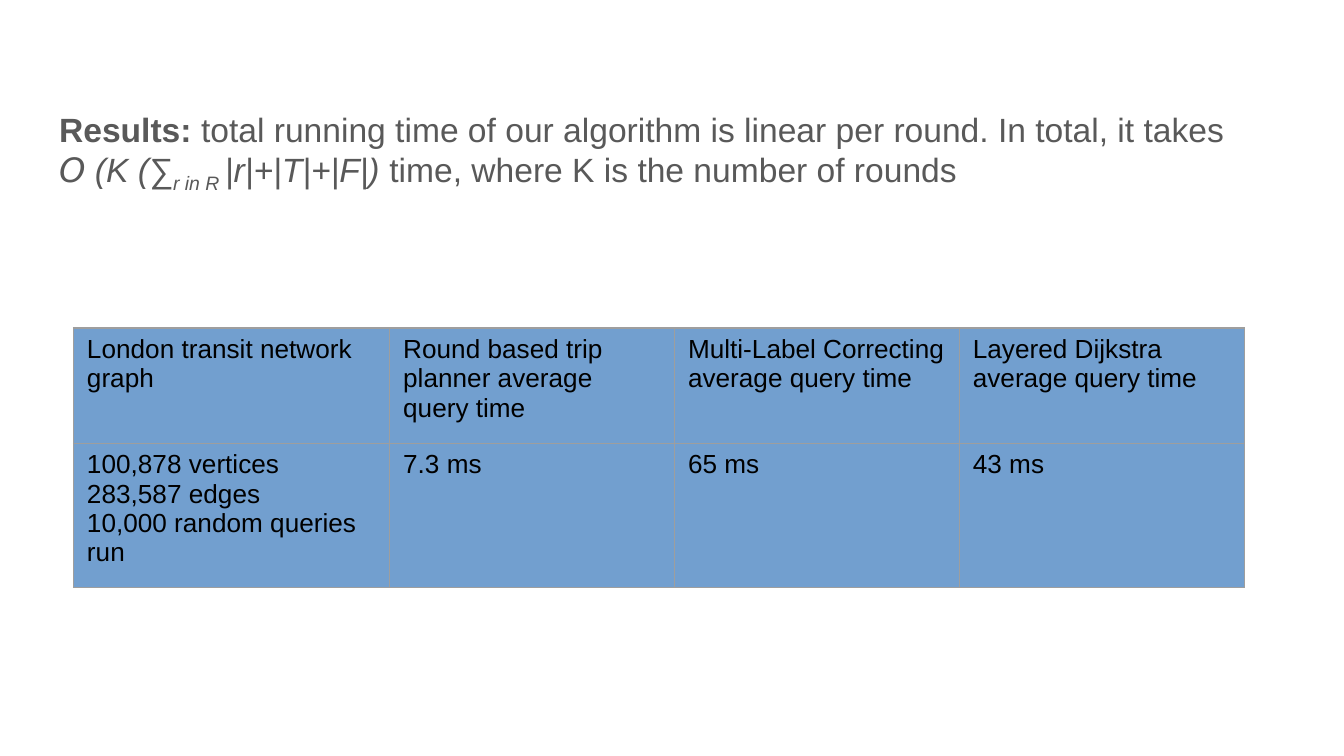
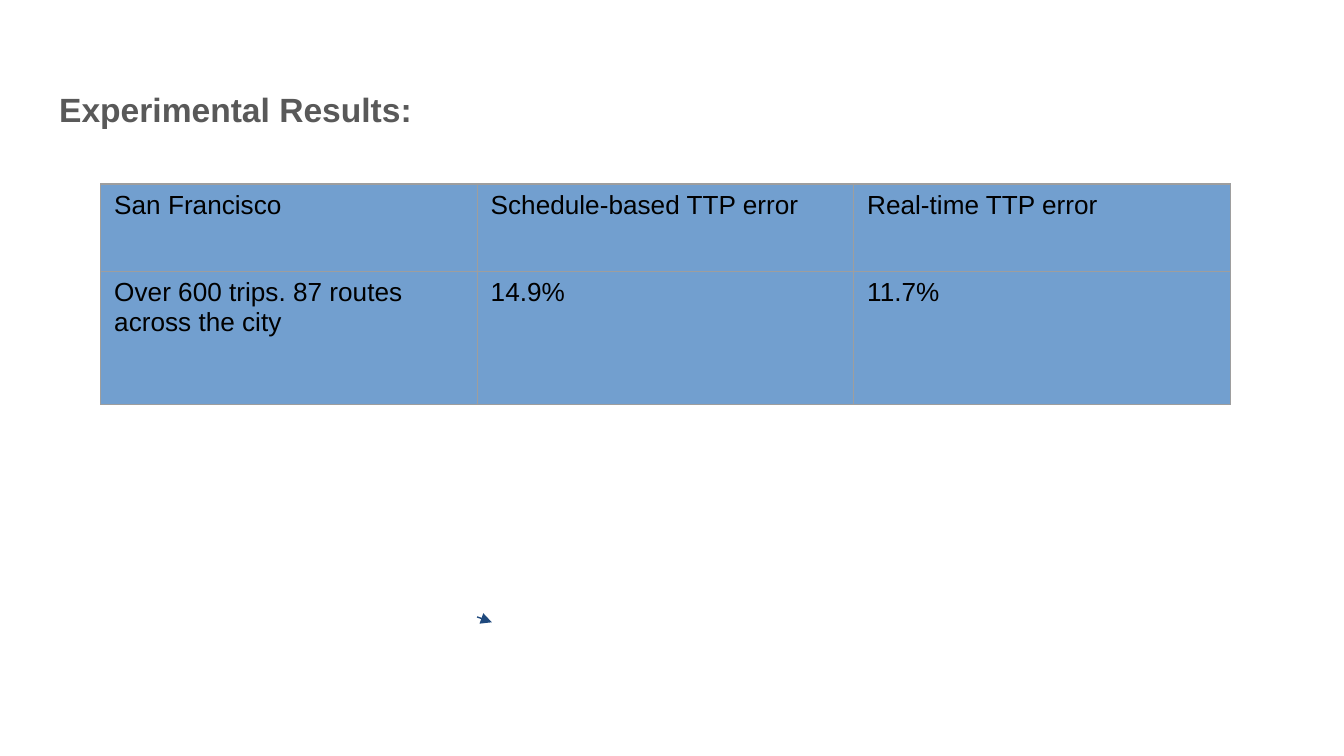
from dataclasses import dataclass

from lxml.etree import SubElement
from pptx import Presentation
from pptx.dml.color import RGBColor
from pptx.enum.shapes import MSO_CONNECTOR as Connector
from pptx.enum.text import MSO_ANCHOR as Anchor, MSO_AUTO_SIZE as AutoSize, PP_ALIGN as Align
from pptx.oxml.ns import qn
from pptx.util import Pt

# Content
RUNNING_TIME = {
    "heading": [
        ("Results: ", {"bold": True}),
        ("total running time of our algorithm is linear per round. In total, it takes", {}),
        ("\n", {}),
        ("Օ (K (∑", {"italic": True}),
        ("r in R ", {"italic": True, "baseline": -25}),
        ("|r|+|T|+|F|) ", {"italic": True}),
        ("time, where K is the number of rounds", {}),
    ],
    "heading_top": 33.8,
    "heading_inset": 24.4,
    "table_at": (39.4, 175.7),
    "columns": [169.4, 152.6, 152.6, 152.6],
    "rows": [61.8, 77.2],
    "cells": [
        ["London transit network graph", "Round based trip planner average query time",
         "Multi-Label Correcting average query time", "Layered Dijkstra average query time"],
        ["100,878 vertices\n283,587 edges\n10,000 random queries run",
         "7.3 ms", "65 ms", "43 ms"],
    ],
}
PREDICTION_ERROR = {
    "heading": [("Experimental Results:", {"bold": True})],
    "heading_top": 40.3,
    "heading_inset": 7.2,
    "table_at": (54, 98.6),
    "columns": [201.7] * 3,
    "rows": [46.8, 71.3],
    "cells": [
        ["San Francisco", "Schedule-based TTP error", "Real-time TTP error"],
        ["Over 600 trips. 87 routes across the city", "14.9%", "11.7%"],
    ],
    "arrow": (255.6, 330.5, 263.5, 333.4),
}


# Theme
@dataclass(frozen=True)
class Theme:
    font: str = "Arial"
    heading: str = "595959"
    cell_text: str = "000000"
    cell_fill: str = "729FCF"
    border: str = "9E9E9E"
    arrow: str = "1F497D"
    heading_size: int = 18
    cell_size: int = 14
    line: float = 0.75


THEME = Theme()
SLIDE_SIZE = (720, 405)
HEADING_LEFT, HEADING_WIDTH, HEADING_BOTTOM = 24.5, 671, 359.3
INSET = 7.2


def add_text(paragraph, text, *, size, color, bold=False, italic=False, baseline=0):
    run = paragraph.add_run()
    run.text = text
    font = run.font
    font.name, font.size, font.bold, font.italic = THEME.font, Pt(size), bold, italic
    font.color.rgb = RGBColor.from_string(color)
    if baseline:
        run._r.get_or_add_rPr().set("baseline", str(baseline * 1000))


def add_heading(slide, content):
    heading = slide.shapes.title
    top = content["heading_top"]
    heading.left, heading.top = Pt(HEADING_LEFT), Pt(top)
    heading.width, heading.height = Pt(HEADING_WIDTH), Pt(HEADING_BOTTOM - top)
    frame = heading.text_frame
    frame.word_wrap, frame.auto_size = True, AutoSize.NONE
    frame.vertical_anchor = Anchor.TOP
    frame.margin_left = frame.margin_right = frame.margin_bottom = Pt(INSET)
    frame.margin_top = Pt(content["heading_inset"])
    paragraph = frame.paragraphs[0]
    paragraph.alignment = Align.LEFT
    for text, style in content["heading"]:
        if text == "\n":
            paragraph.add_line_break()
        else:
            add_text(paragraph, text, size=THEME.heading_size, color=THEME.heading, **style)


def add_borders(cell):
    properties = cell._tc.get_or_add_tcPr()
    for position, side in enumerate(("lnL", "lnR", "lnT", "lnB")):
        line = SubElement(properties, qn(f"a:{side}"), w=str(Pt(THEME.line)))
        fill = SubElement(line, qn("a:solidFill"))
        SubElement(fill, qn("a:srgbClr"), val=THEME.border)
        properties.insert(position, line)  # borders come before the fill


def add_results(slide, content):
    columns, rows = content["columns"], content["rows"]
    left, top = content["table_at"]
    table = slide.shapes.add_table(len(rows), len(columns), Pt(left), Pt(top),
                                   Pt(sum(columns)), Pt(sum(rows))).table
    table.first_row = table.horz_banding = False
    for column, width in zip(table.columns, columns):
        column.width = Pt(width)
    for row, height, texts in zip(table.rows, rows, content["cells"]):
        row.height = Pt(height)
        for cell, text in zip(row.cells, texts):
            cell.fill.solid()
            cell.fill.fore_color.rgb = RGBColor.from_string(THEME.cell_fill)
            add_borders(cell)
            frame = cell.text_frame
            for index, entry in enumerate(text.split("\n")):
                paragraph = frame.add_paragraph() if index else frame.paragraphs[0]
                add_text(paragraph, entry, size=THEME.cell_size, color=THEME.cell_text)


def add_arrow(slide, ends):
    arrow = slide.shapes.add_connector(Connector.STRAIGHT, *map(Pt, ends))
    arrow.line.color.rgb = RGBColor.from_string(THEME.arrow)
    arrow.line.width = Pt(THEME.line)
    SubElement(arrow.line._get_or_add_ln(), qn("a:tailEnd"), type="triangle")
    SubElement(arrow._element.spPr, qn("a:effectLst"))


def main():
    deck = Presentation()
    deck.slide_width, deck.slide_height = map(Pt, SLIDE_SIZE)
    title_only = deck.slide_layouts[5]
    for content in (RUNNING_TIME, PREDICTION_ERROR):
        slide = deck.slides.add_slide(title_only)
        add_heading(slide, content)
        if "arrow" in content:
            add_arrow(slide, content["arrow"])
        add_results(slide, content)
    deck.save("out.pptx")


if __name__ == "__main__":
    main()
